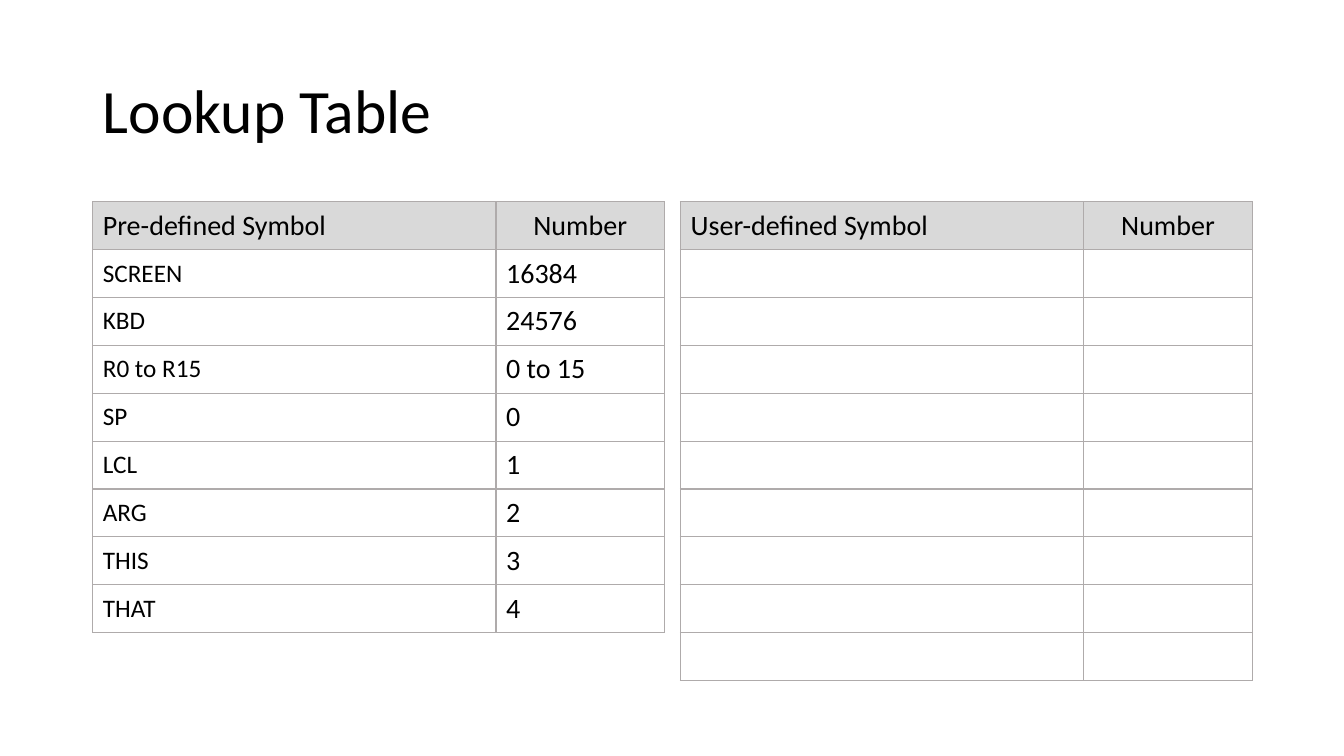
import pptx
import pptx.util
import pptx.dml.color
import pptx.enum.text
import lxml.etree
from pptx.util import Inches

TITLE = "Lookup Table"
PREDEFINED = [
    ("Pre-defined Symbol", "Number"),
    ("SCREEN", "16384"),
    ("KBD", "24576"),
    ("R0 to R15", "0 to 15"),
    ("SP", "0"),
    ("LCL", "1"),
    ("ARG", "2"),
    ("THIS", "3"),
    ("THAT", "4"),
]
USER_DEFINED = [("User-defined Symbol", "Number")] + [("", "")] * 9

COLORS = {"text": "000000", "header": "D9D9D9", "border": "AFABAB"}
FONT = "Calibri"
LEFT, TOP, GAP = 0.92, 2, 0.16
COL_WIDTHS = (4, 1.67)
ROW_HEIGHT = 4.28 / len(PREDEFINED)
ALIGN = pptx.enum.text.PP_ALIGN
MIDDLE = pptx.enum.text.MSO_ANCHOR.MIDDLE


def write(tf, text, size=20, align=ALIGN.LEFT, spacing=None):
    p = tf.paragraphs[0]
    p.alignment = align
    p.line_spacing = spacing
    r = p.add_run()
    r.text = text
    r.font.size = pptx.util.Pt(size)
    r.font.name = FONT
    r.font.bold = False
    r.font.color.rgb = pptx.dml.color.RGBColor.from_string(COLORS["text"])


def add_borders(cell):
    ns = "{http://schemas.openxmlformats.org/drawingml/2006/main}"
    tcPr = cell._tc.get_or_add_tcPr()
    for side in ("lnL", "lnR", "lnT", "lnB"):
        ln = lxml.etree.SubElement(tcPr, ns + side, w=str(pptx.util.Pt(1)))
        fill = lxml.etree.SubElement(ln, ns + "solidFill")
        lxml.etree.SubElement(fill, ns + "srgbClr", val=COLORS["border"])


def add_symbol_table(s, rows, left):
    table = s.shapes.add_table(
        len(rows), len(COL_WIDTHS), Inches(left), Inches(TOP),
        Inches(sum(COL_WIDTHS)), Inches(ROW_HEIGHT * len(rows))).table
    table.horz_banding = False
    for column, width in zip(table.columns, COL_WIDTHS):
        column.width = Inches(width)
    for i, row in enumerate(rows):
        table.rows[i].height = Inches(ROW_HEIGHT)
        for j, text in enumerate(row):
            cell = table.cell(i, j)
            cell.vertical_anchor = MIDDLE
            add_borders(cell)
            if i == 0:
                cell.fill.solid()
                cell.fill.fore_color.rgb = pptx.dml.color.RGBColor.from_string(COLORS["header"])
            else:
                cell.fill.background()
            if text:
                write(cell.text_frame, text,
                      size=18 if i and j == 0 else 20,
                      align=ALIGN.CENTER if i == 0 and j == 1 else ALIGN.LEFT)


def main():
    prs = pptx.Presentation()
    prs.slide_width, prs.slide_height = Inches(13.33), Inches(7.5)
    s = prs.slides.add_slide(prs.slide_layouts[5])

    title = s.shapes.title
    title.left, title.top = Inches(LEFT), Inches(0.4)
    title.width, title.height = Inches(11.5), Inches(1.45)
    title.text_frame.vertical_anchor = MIDDLE
    write(title.text_frame, TITLE, size=44, spacing=0.9)

    for n, rows in enumerate((PREDEFINED, USER_DEFINED)):
        add_symbol_table(s, rows, LEFT + n * (sum(COL_WIDTHS) + GAP))

    prs.save("out.pptx")


if __name__ == "__main__":
    main()
